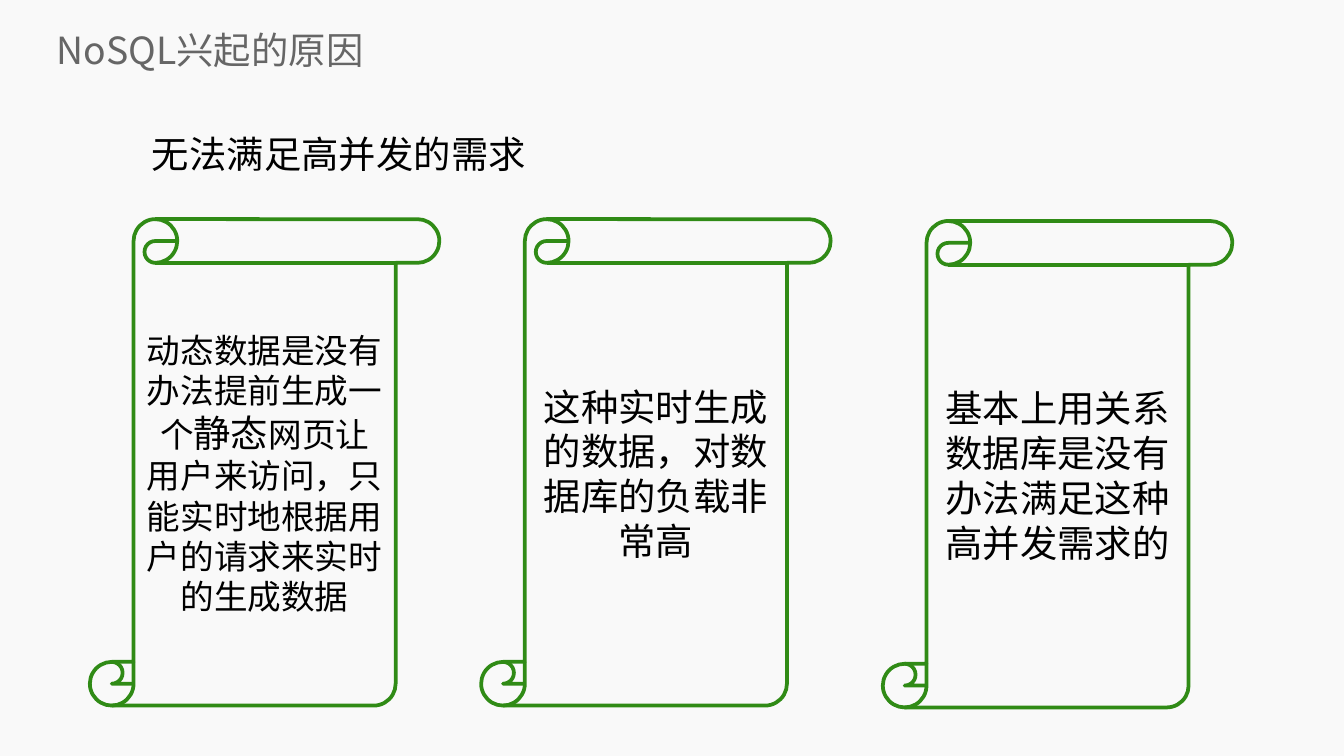
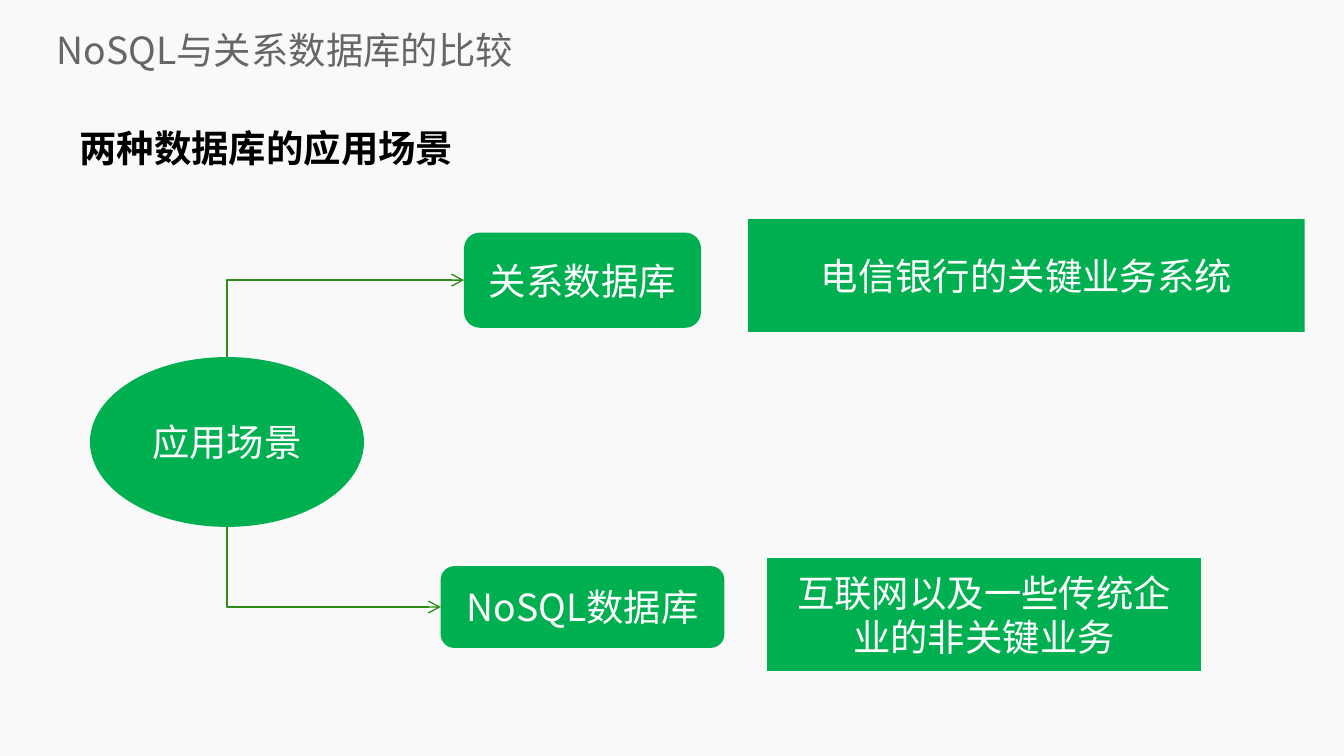
import lxml.etree
import pptx
import pptx.dml.color
import pptx.enum.shapes
import pptx.enum.text
import pptx.oxml.ns
import pptx.util

Pt = pptx.util.Pt
RGBColor = pptx.dml.color.RGBColor
SHAPE = pptx.enum.shapes.MSO_SHAPE
ALIGN = pptx.enum.text.PP_ALIGN
ANCHOR = pptx.enum.text.MSO_ANCHOR
qn = pptx.oxml.ns.qn

FONT = "Noto Sans CJK SC"
TEXT_SIZE = 20
PAPER = RGBColor(0xF9, 0xF9, 0xF9)
GREY = RGBColor(0x66, 0x66, 0x66)
BLACK = RGBColor(0x00, 0x00, 0x00)
WHITE = RGBColor(0xFF, 0xFF, 0xFF)
GREEN = RGBColor(0x00, 0xB0, 0x50)
DARK_GREEN = RGBColor(0x30, 0x8B, 0x16)

TITLE_PLACE = (30.24, 13, 679, 27.4)

REASONS = {
    "title": "NoSQL兴起的原因",
    "subtitle": "无法满足高并发的需求",
    "subtitle_place": (81.4, 60.5, 539, 34),
    "scroll_size": (187.2, 260.6),
    # left, top, runs as (text, size)
    "scrolls": [
        (48.2, 117.4, [("动态数据是没有办法提前生成一个", 18), ("静态", 20),
                       ("网页让用户来访问，只能实时地根据用户的请求来实时的生成数据", 18)]),
        (257.8, 117.4, [("这种实时生成的数据，对数据库的负载非常高", 20)]),
        (473, 118.4, [("基本上用关系数据库是没有办法满足这种高并发需求的", 20)]),
    ],
}

COMPARISON = {
    "title": "NoSQL与关系数据库的比较",
    "subtitle": "两种数据库的应用场景",
    "subtitle_place": (42.5, 57.6, 539, 60),
    "hub": ("应用场景", (48.2, 191.3, 146.8, 91)),
    # database, its place, where it is used, place of that
    "branches": [
        ("关系数据库", (248.6, 124.6, 127, 51),
         "电信银行的关键业务系统", (400.8, 117.4, 298.2, 60.4)),
        ("NoSQL数据库", (236.1, 303.3, 152, 43.8),
         "互联网以及一些传统企业的非关键业务", (411, 299, 232.4, 60.4)),
    ],
}


def points(place):
    return [Pt(value) for value in place]


def write(frame, runs, color, align, bold=False):
    """Fill the frame with one paragraph made of (text, size) runs."""
    frame.word_wrap = True
    para = frame.paragraphs[0]
    para.alignment = align
    for text, size in runs:
        span = para.add_run()
        span.text = text
        span.font.size = Pt(size)
        span.font.bold = bold
        span.font.color.rgb = color
        span.font.name = FONT
        properties = span.font._element
        properties.set("lang", "zh-CN")
        lxml.etree.SubElement(properties, qn("a:ea")).set("typeface", FONT)


def clear_margins(frame):
    frame.margin_left = frame.margin_right = 0
    frame.margin_top = frame.margin_bottom = 0


def add_page(deck, content, bold_subtitle=False):
    page = deck.slides.add_slide(deck.slide_layouts[5])
    title = page.shapes.title
    title.left, title.top, title.width, title.height = points(TITLE_PLACE)
    clear_margins(title.text_frame)
    title.text_frame.vertical_anchor = ANCHOR.MIDDLE
    title.text_frame.auto_size = pptx.enum.text.MSO_AUTO_SIZE.NONE
    write(title.text_frame, [(content["title"], TEXT_SIZE)], GREY, ALIGN.LEFT)

    subtitle = page.shapes.add_textbox(*points(content["subtitle_place"])).text_frame
    clear_margins(subtitle)
    write(subtitle, [(content["subtitle"], TEXT_SIZE)], BLACK, ALIGN.LEFT, bold_subtitle)
    subtitle.paragraphs[0].line_spacing = 1.4
    return page


def add_scroll(page, place, runs):
    scroll = page.shapes.add_shape(SHAPE.VERTICAL_SCROLL, *points(place))
    scroll.shadow.inherit = False
    scroll.fill.background()
    scroll.line.color.rgb = DARK_GREEN
    scroll.line.width = Pt(2)
    write(scroll.text_frame, runs, BLACK, ALIGN.CENTER)


def add_green_box(page, kind, text, place):
    box = page.shapes.add_shape(kind, *points(place))
    box.shadow.inherit = False
    box.fill.solid()
    box.fill.fore_color.rgb = GREEN
    box.line.fill.background()
    write(box.text_frame, [(text, TEXT_SIZE)], WHITE, ALIGN.CENTER)
    return box


def add_elbow_arrow(page, hub, target):
    """Leave the hub vertically and enter the target's left side after one bend."""
    start_x = hub.left + hub.width // 2
    end_x, end_y = target.left, target.top + target.height // 2
    upward = end_y < hub.top
    start_y = hub.top if upward else hub.top + hub.height
    run, rise = end_x - start_x, abs(end_y - start_y)

    # The one-bend preset starts sideways, so its frame is turned a quarter.
    left = (start_x + end_x - rise) // 2
    top = (start_y + end_y - run) // 2
    arrow = page.shapes.add_connector(
        pptx.enum.shapes.MSO_CONNECTOR.ELBOW, left, top, left + rise, top + run)
    arrow.line.color.rgb = DARK_GREEN
    arrow.line.width = Pt(0.75)
    properties = arrow._element.spPr
    properties.find(qn("a:prstGeom")).set("prst", "bentConnector2")
    frame = properties.find(qn("a:xfrm"))
    frame.set("rot", str((90 if upward else 270) * 60000))
    frame.set("flipH", "1")
    if upward:
        frame.set("flipV", "1")
    lxml.etree.SubElement(properties.find(qn("a:ln")), qn("a:tailEnd")).set("type", "arrow")
    lxml.etree.SubElement(properties, qn("a:effectLst"))


def build_reasons(deck):
    page = add_page(deck, REASONS)
    for left, top, runs in REASONS["scrolls"]:
        add_scroll(page, (left, top, *REASONS["scroll_size"]), runs)


def build_comparison(deck):
    page = add_page(deck, COMPARISON, bold_subtitle=True)
    hub = add_green_box(page, SHAPE.OVAL, *COMPARISON["hub"])
    for database, database_place, usage, usage_place in COMPARISON["branches"]:
        target = add_green_box(page, SHAPE.ROUNDED_RECTANGLE, database, database_place)
        add_elbow_arrow(page, hub, target)
        add_green_box(page, SHAPE.RECTANGLE, usage, usage_place)


def main():
    deck = pptx.Presentation()
    deck.slide_width, deck.slide_height = Pt(720), Pt(405)
    background = deck.slide_master.background.fill
    background.solid()
    background.fore_color.rgb = PAPER
    build_reasons(deck)
    build_comparison(deck)
    deck.save("out.pptx")


if __name__ == "__main__":
    main()
